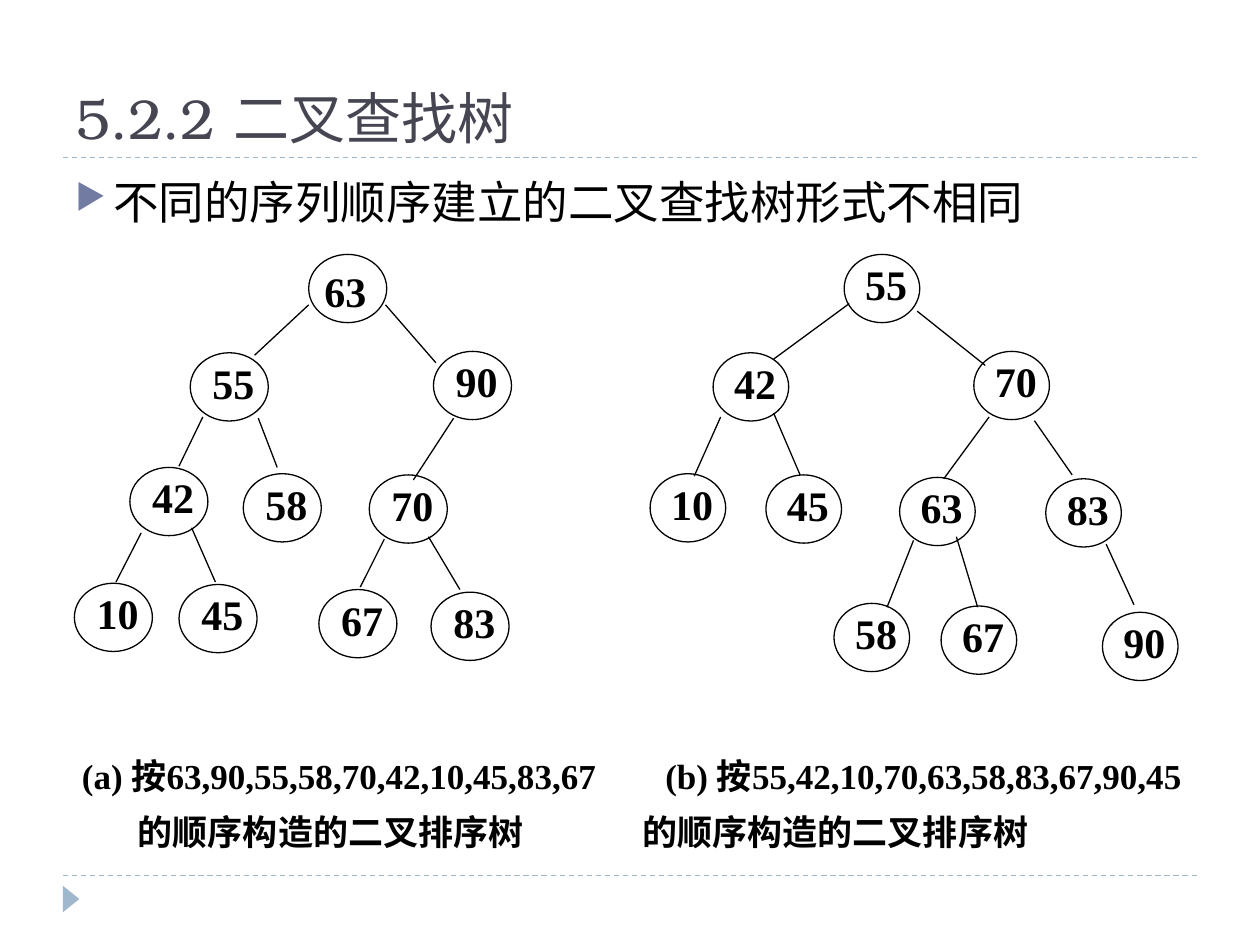
from lxml import etree
from pptx import Presentation
from pptx.dml.color import RGBColor
from pptx.enum import dml, shapes, text
from pptx.oxml import ns
from pptx.util import Pt

BLACK = RGBColor(0x00, 0x00, 0x00)
INK = RGBColor(0x46, 0x46, 0x53)
RULE = RGBColor(0x9F, 0xB8, 0xCD)
SERIF = "Times New Roman"

# Each node: key, left, top, then the edge from its parent (x1, y1, x2, y2)
TREE_A = [
    ("63", 133.9, 0, None),
    ("55", 66.2, 56.2, (133.9, 28.8, 103, 57.6)),
    ("90", 205.2, 55.4, (177.8, 28.8, 206.6, 61.9)),
    ("42", 31.7, 121.7, (73.4, 92.9, 59.8, 121)),
    ("58", 96.5, 125.3, (105.1, 93.6, 115.9, 121.7)),
    ("70", 168.5, 126, (216.7, 93.6, 193.7, 128.9)),
    ("10", 0, 187.9, (38.2, 159.1, 23.8, 187.2)),
    ("45", 59.8, 188.6, (67, 156.2, 80.6, 187.2)),
    ("67", 139.7, 191.5, (177.1, 162.7, 163.4, 190.1)),
    ("83", 203.8, 193, (202.3, 161.3, 220.3, 191.5)),
]
TREE_B = [
    ("55", 110.9, 0, None),
    ("42", 36, 56.2, (113.8, 28.1, 70.6, 59.8)),
    ("70", 185, 55.4, (152.6, 32.4, 191.5, 63.4)),
    ("10", 0, 125.3, (40.3, 92.9, 25.2, 126.7)),
    ("45", 66.2, 126, (70.6, 90.7, 85.7, 126)),
    ("63", 142.6, 127.4, (193.7, 92.9, 167.8, 128.2)),
    ("83", 226.1, 128.2, (219.6, 95, 241.2, 126)),
    ("58", 105.1, 199.4, (150.5, 163.4, 135.4, 201.6)),
    ("67", 166.3, 200.9, (175, 161.3, 187.2, 201.6)),
    ("90", 258.5, 204.5, (260.6, 165.6, 276.5, 200.2)),
]
CAPTION = [
    ("(a) 按63,90,55,58,70,42,10,45,83,67\t(b) 按55,42,10,70,63,58,83,67,90,45", [333.4]),
    ("\t的顺序构造的二叉排序树\t的顺序构造的二叉排序树", [32, 320.4]),
]


def style(par, name, size, color, bold=False):
    for run in par.runs:
        font = run.font
        font.name, font.size, font.bold = name, Pt(size), bold
        font.color.rgb = color


def add_text(slide, left, top, width, height, pad=None):
    """Add a wrapping text box; pad holds the side and top insets."""
    box = slide.shapes.add_textbox(Pt(left), Pt(top), Pt(width), Pt(height))
    frame = box.text_frame
    frame.word_wrap = True
    if pad:
        frame.margin_left = frame.margin_right = Pt(pad[0])
        frame.margin_top, frame.margin_bottom = Pt(pad[1]), Pt(0)
    return frame


def add_line(slide, x1, y1, x2, y2, color=BLACK):
    line = slide.shapes.add_connector(
        shapes.MSO_CONNECTOR.STRAIGHT, Pt(x1), Pt(y1), Pt(x2), Pt(y2))
    line.line.color.rgb = color
    line.line.width = Pt(0.75)
    etree.SubElement(line._element.spPr, ns.qn("a:effectLst"))
    return line


def add_frame(slide, left, top, width, height):
    """Draw the two dashed rules and the corner mark."""
    for y in (top, top + height):
        rule = add_line(slide, left, y, left + width, y, RULE)
        rule.line.dash_style = dml.MSO_LINE.DASH
    mark = slide.shapes.add_shape(
        shapes.MSO_SHAPE.ISOSCELES_TRIANGLE,
        Pt(left - 2.9), Pt(top + height + 8.6), Pt(15.1), Pt(9.4))
    mark.rotation = 90
    mark.shadow.inherit = False
    mark.fill.solid()
    mark.fill.fore_color.rgb = RULE
    mark.line.fill.background()


def add_title(slide, left, top, width, height):
    title = slide.shapes.title
    title.left, title.top = Pt(left), Pt(top)
    title.width, title.height = Pt(width), Pt(height)
    frame = title.text_frame
    frame.text = "5.2.2 二叉查找树"
    frame.vertical_anchor = text.MSO_ANCHOR.BOTTOM
    par = frame.paragraphs[0]
    par.alignment = text.PP_ALIGN.LEFT
    style(par, "TeX Gyre Bonum", 32, INK)


def add_point(slide, left, top, width, height):
    par = add_text(slide, left, top, width, height).paragraphs[0]
    par.text = "不同的序列顺序建立的二叉查找树形式不相同"
    props = par._p.get_or_add_pPr()
    props.set("marL", str(Pt(21.6)))
    props.set("indent", str(-Pt(21.6)))
    color = etree.SubElement(props, ns.qn("a:buClr"))
    etree.SubElement(color, ns.qn("a:srgbClr"), val="727CA3")
    etree.SubElement(props, ns.qn("a:buSzPct"), val="76000")
    etree.SubElement(props, ns.qn("a:buChar"), char="▶")
    style(par, "Calibri", 26, BLACK)


def add_node(slide, key, left, top, width, shift):
    oval = slide.shapes.add_shape(
        shapes.MSO_SHAPE.OVAL, Pt(left), Pt(top), Pt(width), Pt(39))
    oval.shadow.inherit = False
    oval.fill.background()
    oval.line.color.rgb = BLACK
    oval.line.width = Pt(0.75)
    dx, dy = shift
    frame = add_text(slide, left + 6 + dx, top - 6 + dy, width - 7.2, 45.4, (1.4, 8.6))
    par = frame.paragraphs[0]
    par.text = key
    par.alignment = text.PP_ALIGN.CENTER
    style(par, SERIF, 24, BLACK, True)


def add_tree(slide, left, top, nodes, width, shift=(0, 0)):
    """Draw a tree of ovals of one width; shift moves the root's label."""
    for key, x, y, edge in nodes:
        add_node(slide, key, left + x, top + y, width, (0, 0) if edge else shift)
        if edge:
            x1, y1, x2, y2 = edge
            add_line(slide, left + x1, top + y1, left + x2, top + y2)


def add_caption(slide, left, top, width, height):
    frame = add_text(slide, left, top, width, height, (4.3, 0))
    frame.text = "\n".join(words for words, _ in CAPTION)
    for par, (_, stops) in zip(frame.paragraphs, CAPTION):
        par.line_spacing = 1.35
        tabs = etree.SubElement(par._p.get_or_add_pPr(), ns.qn("a:tabLst"))
        for stop in stops:
            etree.SubElement(tabs, ns.qn("a:tab"), pos=str(Pt(stop)), algn="l")
        style(par, SERIF, 20, BLACK, True)


def main():
    deck = Presentation()
    deck.slide_width, deck.slide_height = Pt(720), Pt(540)
    slide = deck.slides.add_slide(deck.slide_layouts[5])
    add_frame(slide, 36, 90, 648, 410.4)
    add_title(slide, 36, 12.2, 648, 77.8)
    add_point(slide, 36, 95.8, 648, 388.8)
    add_caption(slide, 42.5, 422.6, 652.3, 67.7)
    add_tree(slide, 42.5, 145.4, TREE_A, 44.6, (-3.8, 3.6))
    add_tree(slide, 371.5, 145.4, TREE_B, 43.2)
    deck.save("out.pptx")


if __name__ == "__main__":
    main()
